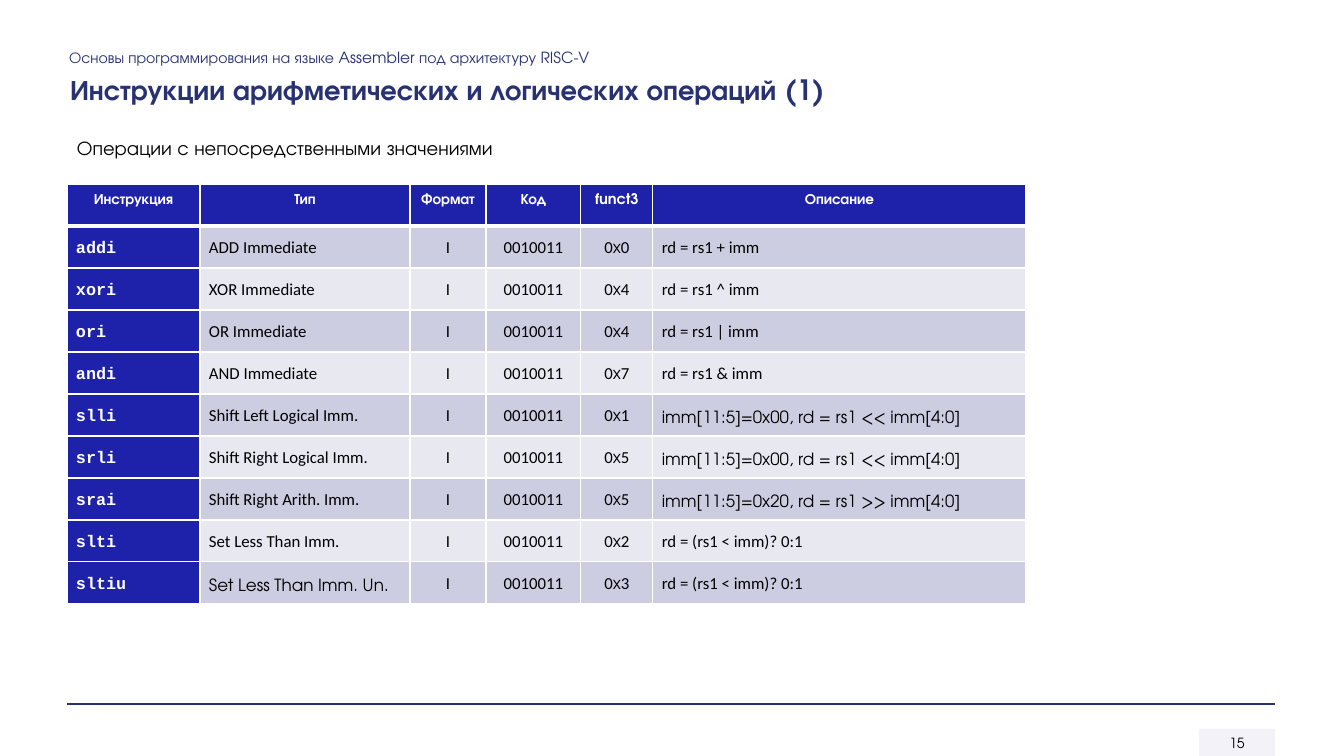
from lxml import etree
from pptx import Presentation
from pptx.dml.color import RGBColor
from pptx.enum.shapes import MSO_CONNECTOR, MSO_SHAPE
from pptx.enum.text import MSO_ANCHOR, MSO_AUTO_SIZE, PP_ALIGN
from pptx.oxml.ns import qn
from pptx.util import Pt

PX = 914400 / 100.8
LEFT, CENTER = PP_ALIGN.LEFT, PP_ALIGN.CENTER
TOP, MIDDLE = MSO_ANCHOR.TOP, MSO_ANCHOR.MIDDLE
STRAIGHT = MSO_CONNECTOR.STRAIGHT
RECTANGLE = MSO_SHAPE.RECTANGLE
NO_AUTOFIT = MSO_AUTO_SIZE.NONE

COLORS = {
    "navy": "283272", "blue": "1E22AA", "white": "FFFFFF", "black": "000000",
    "dark_band": "CDCDE2", "light_band": "E8E8F1", "page_box": "F3F1F9",
}
HEADING, BODY, CODE = "TeX Gyre Adventor", "Calibri", "Courier New"

COLUMN_WIDTHS = [133, 210, 76, 95, 72, 373]
COLUMN_ALIGNS = [LEFT, LEFT, CENTER, CENTER, CENTER, LEFT]
ROW_HEIGHT = 42
CELL_INSET = 9
HEADERS = ["Инструкция", "Тип", "Формат", "Код", "funct3", "Описание"]
# mnemonic, (type, font), funct3 digit, (description, font)
INSTRUCTIONS = [
    ("addi", ("ADD Immediate", BODY), "0", ("rd = rs1 + imm", BODY)),
    ("xori", ("XOR Immediate", BODY), "4", ("rd = rs1 ^ imm", BODY)),
    ("ori", ("OR Immediate", BODY), "4", ("rd = rs1 | imm", BODY)),
    ("andi", ("AND Immediate", BODY), "7", ("rd = rs1 & imm", BODY)),
    ("slli", ("Shift Left Logical Imm.", BODY), "1",
     ("imm[11:5]=0x00, rd = rs1 << imm[4:0]", HEADING)),
    ("srli", ("Shift Right Logical Imm.", BODY), "5",
     ("imm[11:5]=0x00, rd = rs1 << imm[4:0]", HEADING)),
    ("srai", ("Shift Right Arith. Imm.", BODY), "5",
     ("imm[11:5]=0x20, rd = rs1 >> imm[4:0]", HEADING)),
    ("slti", ("Set Less Than Imm.", BODY), "2", ("rd = (rs1 < imm)? 0:1", BODY)),
    ("sltiu", ("Set Less Than Imm. Un.", HEADING), "3",
     ("rd = (rs1 < imm)? 0:1", BODY)),
]


def px(length):
    return round(length * PX)


def rgb(name):
    return RGBColor.from_string(COLORS[name])


def add_run(paragraph, text, font, size, color, bold=False):
    run = paragraph.add_run()
    run.text = text
    run.font.name = font
    run.font.size = Pt(size)
    run.font.bold = bold
    run.font.color.rgb = rgb(color)


def write_line(shape, text, size, color, bold=False, align=LEFT, anchor=TOP):
    frame = shape.text_frame
    frame.word_wrap = True
    frame.auto_size = NO_AUTOFIT
    frame.vertical_anchor = anchor
    frame.margin_left = frame.margin_right = px(10)
    frame.margin_top = frame.margin_bottom = px(5)
    paragraph = frame.paragraphs[0]
    paragraph.alignment = align
    add_run(paragraph, text, HEADING, size, color, bold)


def add_header(slide, left, top, width):
    course = slide.shapes.add_textbox(px(left), px(top), px(width), px(29))
    write_line(course, "Основы программирования на языке Assembler под архитектуру RISC-V",
               11, "navy")
    title = slide.shapes.title
    title.left, title.top = px(left + 1), px(top + 24)
    title.width, title.height = px(815), px(44)
    write_line(title, "Инструкции арифметических и логических операций (1)",
               20, "navy", bold=True)


def add_section_label(slide, left, top, width, height):
    label = slide.shapes.add_textbox(px(left), px(top), px(width), px(height))
    write_line(label, "Операции с непосредственными значениями", 14, "black")


def set_borders(cell, bottom_width):
    properties = cell._tc.get_or_add_tcPr()
    for index, (side, width) in enumerate(
            [("lnL", 1), ("lnR", 1), ("lnT", 1), ("lnB", bottom_width)]):
        border = etree.Element(qn(f"a:{side}"), w=str(Pt(width)))
        fill = etree.SubElement(border, qn("a:solidFill"))
        etree.SubElement(fill, qn("a:srgbClr"), val=COLORS["white"])
        properties.insert(index, border)


def fill_cell(cell, runs, size, align, spacing, fill, color, bold, bottom_width=1):
    """Format one cell and add its (text, font) runs."""
    cell.fill.solid()
    cell.fill.fore_color.rgb = rgb(fill)
    cell.margin_left = cell.margin_right = px(CELL_INSET)
    cell.margin_top = cell.margin_bottom = px(CELL_INSET)
    cell.vertical_anchor = TOP
    set_borders(cell, bottom_width)
    paragraph = cell.text_frame.paragraphs[0]
    paragraph.alignment = align
    paragraph.line_spacing = spacing
    paragraph.space_after = Pt(8)
    for text, font in runs:
        add_run(paragraph, text, font, size, color, bold)


def add_instruction_table(slide, left, top):
    row_count = len(INSTRUCTIONS) + 1
    table = slide.shapes.add_table(
        row_count, len(HEADERS), px(left), px(top),
        px(sum(COLUMN_WIDTHS)), px(ROW_HEIGHT * row_count)).table
    table.horz_banding = False
    for column, width in zip(table.columns, COLUMN_WIDTHS):
        column.width = px(width)
    for row in table.rows:
        row.height = px(ROW_HEIGHT)
    for column, header in enumerate(HEADERS):
        fill_cell(table.cell(0, column), [(header, HEADING)], 10.5, CENTER, 1.07,
                  "blue", "white", True, bottom_width=3)
    for row, (mnemonic, kind, digit, description) in enumerate(INSTRUCTIONS, 1):
        band = "dark_band" if row % 2 else "light_band"
        cells = [[(mnemonic, CODE)], [kind], [("I", BODY)], [("0010011", BODY)],
                 [("0", BODY), ("x", HEADING), (digit, BODY)], [description]]
        for column, runs in enumerate(cells):
            is_mnemonic = column == 0
            fill_cell(table.cell(row, column), runs, 12, COLUMN_ALIGNS[column], Pt(16.8),
                      "blue" if is_mnemonic else band,
                      "white" if is_mnemonic else "black", is_mnemonic)


def add_footer(slide, left, top, width):
    rule = slide.shapes.add_connector(STRAIGHT, px(left), px(top), px(left + width), px(top))
    rule.line.color.rgb = rgb("navy")
    rule.line.width = Pt(1)
    etree.SubElement(rule._element.spPr, qn("a:effectLst"))

    page_box = slide.shapes.add_shape(
        RECTANGLE, px(left + width - 76), px(top + 25), px(76), px(27))
    page_box.shadow.inherit = False
    page_box.fill.solid()
    page_box.fill.fore_color.rgb = rgb("page_box")
    fill_color = page_box._element.spPr.find(qn("a:solidFill"))[0]
    etree.SubElement(fill_color, qn("a:alpha"), val="90000")
    page_box.line.fill.background()
    write_line(page_box, "15", 10, "black", align=CENTER, anchor=MIDDLE)


def main():
    presentation = Presentation()
    presentation.slide_width, presentation.slide_height = px(1344), px(756)
    slide = presentation.slides.add_slide(presentation.slide_layouts[5])
    add_header(slide, 59, 43, 1032)
    add_section_label(slide, 67, 131, 1172, 34)
    add_instruction_table(slide, 67, 184)
    add_footer(slide, 67, 704, 1208)
    presentation.save("out.pptx")


if __name__ == "__main__":
    main()
